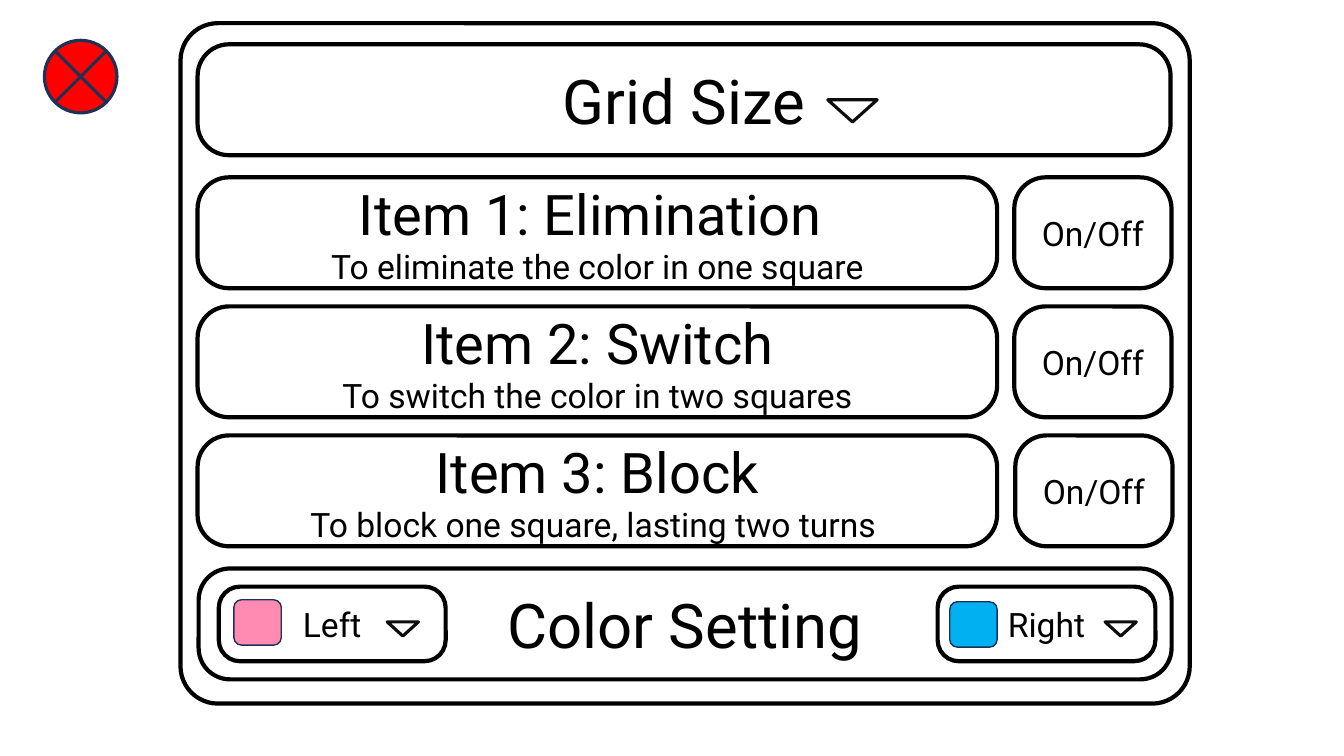
from pptx import Presentation
from pptx.dml.color import RGBColor
from pptx.enum.shapes import MSO_SHAPE
from pptx.enum.text import MSO_ANCHOR, PP_ALIGN
from pptx.util import Inches, Pt

ROUNDED = MSO_SHAPE.ROUNDED_RECTANGLE
TRIANGLE = MSO_SHAPE.ISOSCELES_TRIANGLE
CLOSE_MARK = MSO_SHAPE.FLOWCHART_SUMMING_JUNCTION
MIDDLE = MSO_ANCHOR.MIDDLE
CENTER = PP_ALIGN.CENTER

COLORS = {
    "white": "FFFFFF",
    "black": "000000",
    "arrow": "0D0D0D",
    "navy": "1E3256",
    "red": "FF0000",
    "pink": "FF8BB2",
    "blue": "00B0F0",
}
ITEMS = [
    ("Item 1: Elimination ", "To eliminate the color in one square", 10.06),
    ("Item 2: Switch", "To switch the color in two squares", 10.06),
    ("Item 3: Block", "To block one square, lasting two turns ", 10.07),
]
ROW_LEFT, ROW_HEIGHT, ROW_WIDTH = 1.96, 1.1, 9.65
ITEM_TOP, ITEM_STEP = 1.76, 1.28
HEADING, ITEM_NAME, LABEL = 44, 40, 24


class SettingsSlide:
    font = "Roboto"
    corner = 0.283

    def __init__(self, slide):
        self.slide = slide
        self.panel = slide.shapes.add_group_shape()

    def color(self, name):
        return RGBColor.from_string(COLORS[name])

    def figure(self, shapes, kind, box, fill, line, width):
        figure = shapes.add_shape(kind, *(Inches(length) for length in box))
        figure.shadow.inherit = False
        figure.fill.solid()
        figure.fill.fore_color.rgb = self.color(fill)
        figure.line.color.rgb = self.color(line)
        figure.line.width = Pt(width)
        return figure

    def box(self, box, *lines, corner=corner):
        frame = self.figure(self.panel.shapes, ROUNDED, box, "white", "black", 3)
        frame.adjustments[0] = corner
        text = frame.text_frame
        text.vertical_anchor = MIDDLE
        for index, (words, size) in enumerate(lines):
            paragraph = text.add_paragraph() if index else text.paragraphs[0]
            paragraph.alignment = CENTER
            run = paragraph.add_run()
            run.text = words
            style = {"name": self.font, "size": Pt(size)}
            for attribute, value in style.items():
                setattr(run.font, attribute, value)
            run.font.color.rgb = self.color("black")

    def dropdown(self, box):
        arrow = self.figure(self.panel.shapes, TRIANGLE, box, "white", "arrow", 2.25)
        arrow.rotation = 180

    def swatch(self, left, top, fill):
        self.figure(self.slide.shapes, ROUNDED, (left, top, 0.47, 0.45), fill, "navy", 1)

    def close_button(self, box):
        self.figure(self.slide.shapes, CLOSE_MARK, box, "red", "navy", 2.25)


def main():
    deck = Presentation()
    deck.slide_width, deck.slide_height = Inches(13.33), Inches(7.5)
    settings = SettingsSlide(deck.slides.add_slide(deck.slide_layouts[6]))

    settings.box((1.79, 0.23, 10.01, 6.75), corner=0.055)
    settings.box((ROW_LEFT, 0.44, ROW_WIDTH, ROW_HEIGHT), ("Grid Size", HEADING))
    settings.dropdown((8.21, 0.99, 0.49, 0.22))

    for row, (name, effect, switch_left) in enumerate(ITEMS):
        top = ITEM_TOP + row * ITEM_STEP
        settings.box((ROW_LEFT, top, 7.93, ROW_HEIGHT), (name, ITEM_NAME), (effect, LABEL))
        settings.box((switch_left, top, 1.56, ROW_HEIGHT), ("On/Off", LABEL))

    settings.box((1.97, 5.64, ROW_WIDTH, ROW_HEIGHT), ("Color Setting", HEADING))
    for side, left, width, arrow_left in (("Left", 2.17, 2.25, 3.84), ("Right", 9.3, 2.16, 10.96)):
        settings.box((left, 5.82, width, 0.74), (side, LABEL))
        settings.dropdown((arrow_left, 6.17, 0.31, 0.14))

    settings.close_button((0.44, 0.4, 0.72, 0.72))
    settings.swatch(2.32, 5.95, "pink")
    settings.swatch(9.42, 5.97, "blue")
    deck.save("out.pptx")


if __name__ == "__main__":
    main()
